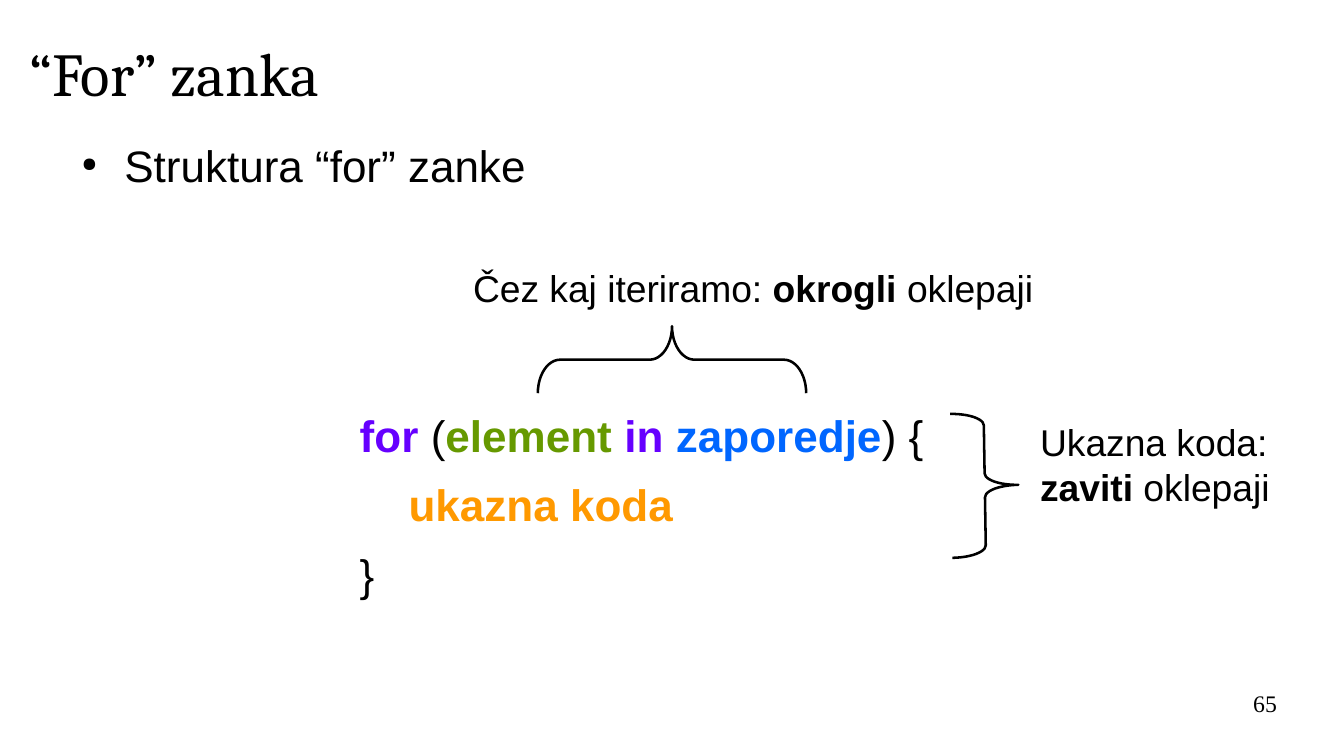
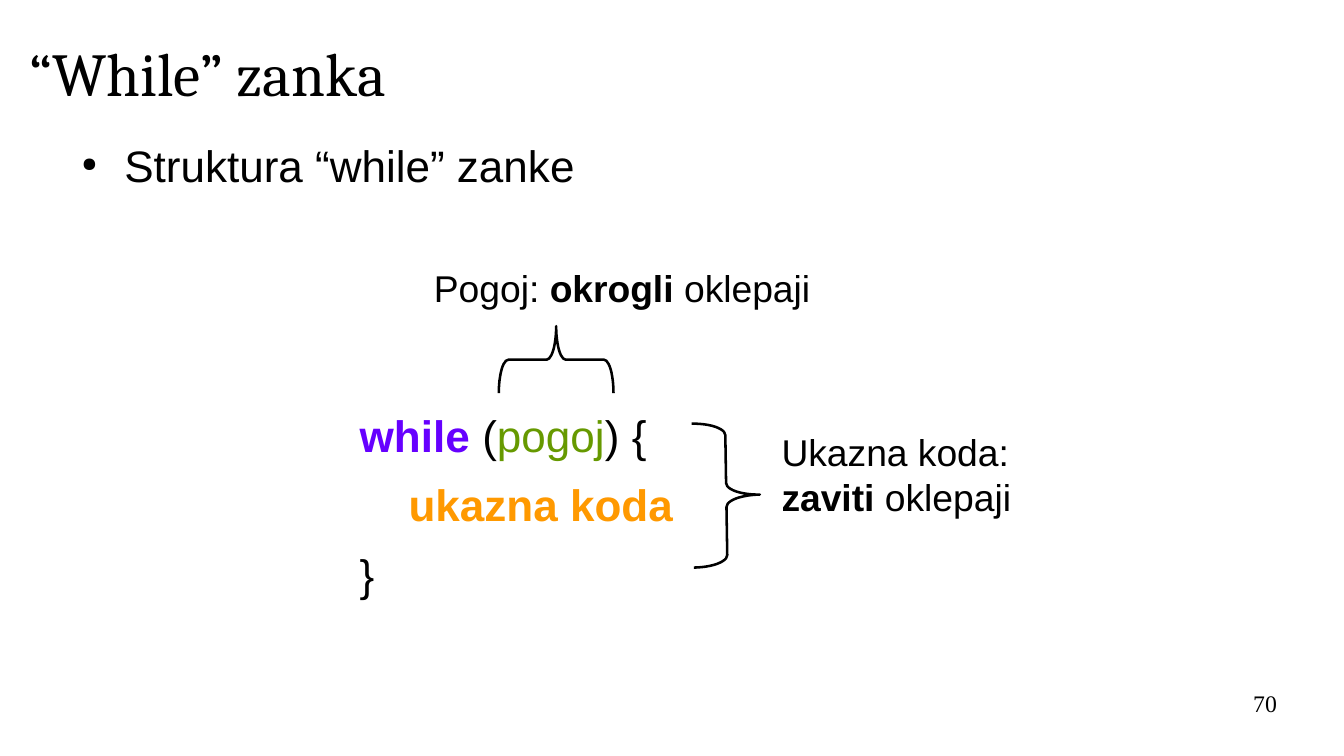
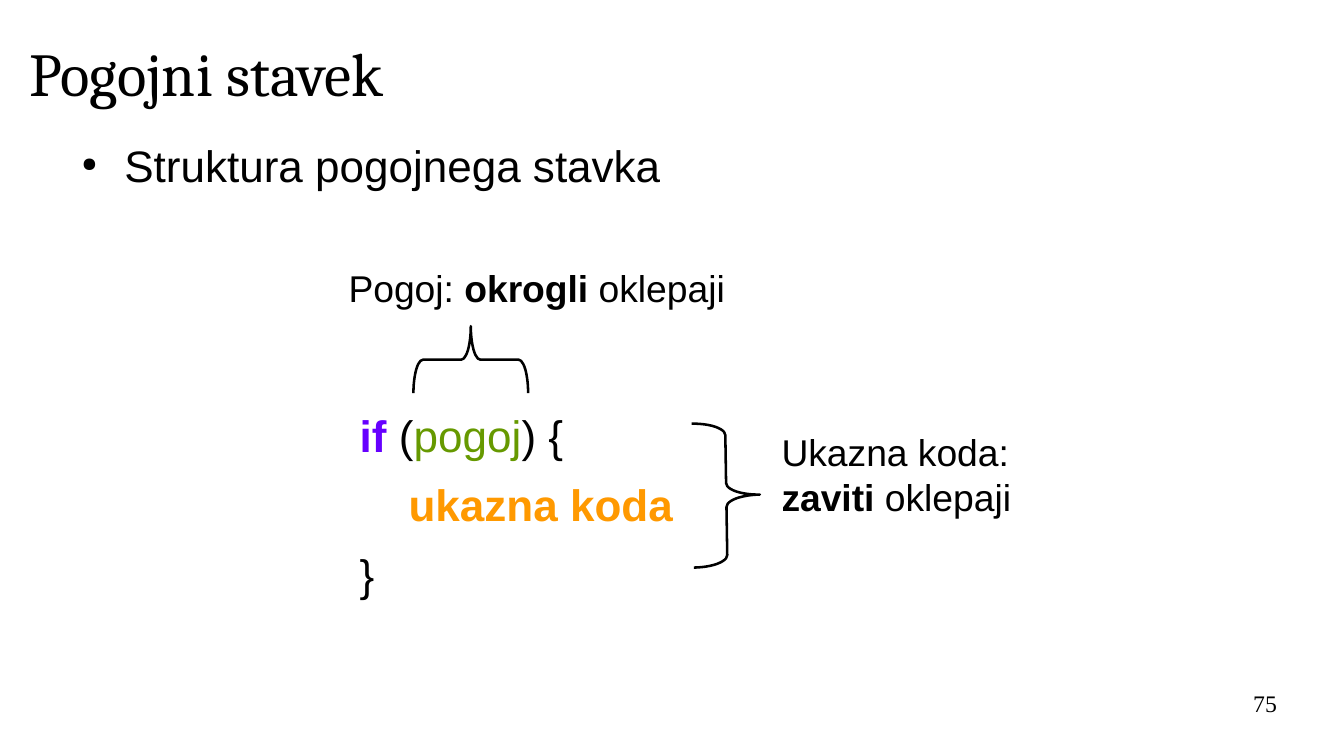
from dataclasses import dataclass

from pptx import Presentation
from pptx.dml.color import RGBColor
from pptx.enum.shapes import MSO_SHAPE as Preset
from pptx.enum.text import MSO_ANCHOR as Anchor, PP_ALIGN as Align
from pptx.util import Inches, Pt
from lxml.etree import SubElement
from pptx.oxml.ns import qn

BLACK, PURPLE, GREEN, BLUE, ORANGE = "000000", "6600FF", "669900", "0066FF", "FF9900"
TITLE_FONT, BODY_FONT, NUMBER_FONT = "Cambria", "Arial", "Times New Roman"
BRACE_DEPTH = 0.55
CODE_LEFT, CODE_TOP = 2.95, 3.35
CONDITION_TOP = 2.13


@dataclass
class Structure:
    title: str
    topic: str
    number: str
    head: list            # runs of the first code line
    condition: str        # words before the bold part of the upper label
    condition_left: float
    condition_brace: tuple  # left, width
    body_brace: tuple       # left, top


STRUCTURES = [
    Structure("“For” zanka", "Struktura “for” zanke", "65",
              [("for ", PURPLE, True), ("(", BLACK, False),
               ("element ", GREEN, True), ("in ", PURPLE, True),
               ("zaporedje", BLUE, True), (") {", BLACK, False)],
              "Čez kaj iteriramo: ", 3.78, (4.41, 2.2), (7.8, 3.39)),
    Structure("“While” zanka", "Struktura “while” zanke", "70",
              [("while ", PURPLE, True), ("(", BLACK, False),
               ("pogoj", GREEN, False), (") {", BLACK, False)],
              "Pogoj: ", 3.46, (4.09, 0.94), (5.68, 3.47)),
    Structure("Pogojni stavek", "Struktura pogojnega stavka", "75",
              [("if ", PURPLE, True), ("(", BLACK, False),
               ("pogoj", GREEN, False), (") {", BLACK, False)],
              "Pogoj: ", 2.76, (3.39, 0.94), (5.68, 3.47)),
]


def rgb(value):
    return RGBColor.from_string(value)


def plain(words, bold=False):
    return words, BLACK, bold


def add_text(slide, box, lines, size, font=BODY_FONT, inset=(0, 0),
             anchor=Anchor.TOP, align=Align.LEFT, gap=0):
    """Add a text box; each line is a list of (words, colour, bold) runs."""
    frame = slide.shapes.add_textbox(*map(Inches, box)).text_frame
    frame.word_wrap = True
    frame.vertical_anchor = anchor
    frame.margin_left = frame.margin_right = Inches(inset[0])
    frame.margin_top = frame.margin_bottom = Inches(inset[1])
    for index, runs in enumerate(lines):
        paragraph = frame.add_paragraph() if index else frame.paragraphs[0]
        paragraph.alignment = align
        if index and gap:
            paragraph.space_before = Pt(gap)
        paragraph.font.size = Pt(size)
        paragraph.font.name = font
        for words, colour, bold in runs:
            run = paragraph.add_run()
            run.text = words
            run.font.bold = bold
            run.font.color.rgb = rgb(colour)
    return frame


def add_brace(slide, center_x, center_y, span, rotation):
    """Add a brace of the given span, turned about its centre."""
    brace = slide.shapes.add_shape(
        Preset.LEFT_BRACE,
        Inches(center_x - BRACE_DEPTH / 2), Inches(center_y - span / 2),
        Inches(BRACE_DEPTH), Inches(span))
    brace.adjustments[0] = span / 12 / min(span, BRACE_DEPTH)
    brace.rotation = rotation
    brace.shadow.inherit = False
    brace.fill.background()
    brace.line.color.rgb = rgb(BLACK)
    brace.line.width = Pt(1.5)


def add_topic(slide, box, topic):
    paragraph = add_text(slide, box, [[plain(topic)]], 26).paragraphs[0]
    properties = paragraph._p.get_or_add_pPr()
    properties.set("marL", str(Inches(0.47)))
    properties.set("indent", str(Inches(-0.35)))
    # Bullet elements belong ahead of the default run properties.
    bullets = []
    colour = SubElement(properties, qn("a:buClr"))
    SubElement(colour, qn("a:srgbClr"), val=BLACK)
    bullets.append(colour)
    bullets.append(SubElement(properties, qn("a:buSzPct"), val="45000"))
    bullets.append(SubElement(properties, qn("a:buChar"), char="●"))
    defaults = properties.find(qn("a:defRPr"))
    for bullet in bullets:
        defaults.addprevious(bullet)


def add_frame(slide, structure):
    """Add the title, topic and page number that every slide has."""
    add_text(slide, (0.24, 0.15, 9.92, 0.88), [[plain(structure.title)]], 36,
             TITLE_FONT, anchor=Anchor.MIDDLE)
    add_topic(slide, (0.55, 1.14, 10.39, 0.5), structure.topic)
    add_text(slide, (7.9, 5.65, 2.57, 0.43), [[plain(structure.number)]], 14,
             NUMBER_FONT, align=Align.RIGHT)


def add_code(slide, left, top, head):
    lines = [head, [("    ukazna koda", ORANGE, True)], [plain("}")]]
    add_text(slide, (left, top, 4.8, 1.6), lines, 26, gap=9.8)


def add_condition(slide, top, structure):
    """Label the round brackets from above."""
    label = [plain(structure.condition), plain("okrogli", True), plain(" oklepaji")]
    add_text(slide, (structure.condition_left, top, 5.12, 0.5), [label], 22,
             inset=(0.1, 0.05))
    left, span = structure.condition_brace
    add_brace(slide, left + span / 2, top + 0.82, span, 90)


def add_body_note(slide, left, top):
    """Label the curly brackets from the right."""
    span = 1.18
    add_brace(slide, left + BRACE_DEPTH / 2, top + span / 2, span, 179.1)
    lines = [[plain("Ukazna koda:")],
             [plain("zaviti", True), plain(" oklepaji")]]
    add_text(slide, (left + 0.63, top, 2.28, 0.85), lines, 22, inset=(0.1, 0.05))


def main():
    deck = Presentation()
    deck.slide_width, deck.slide_height = Inches(11.02), Inches(6.2)
    for structure in STRUCTURES:
        slide = deck.slides.add_slide(deck.slide_layouts[6])
        add_frame(slide, structure)
        add_code(slide, CODE_LEFT, CODE_TOP, structure.head)
        add_condition(slide, CONDITION_TOP, structure)
        add_body_note(slide, *structure.body_brace)
    deck.save("out.pptx")


if __name__ == "__main__":
    main()
